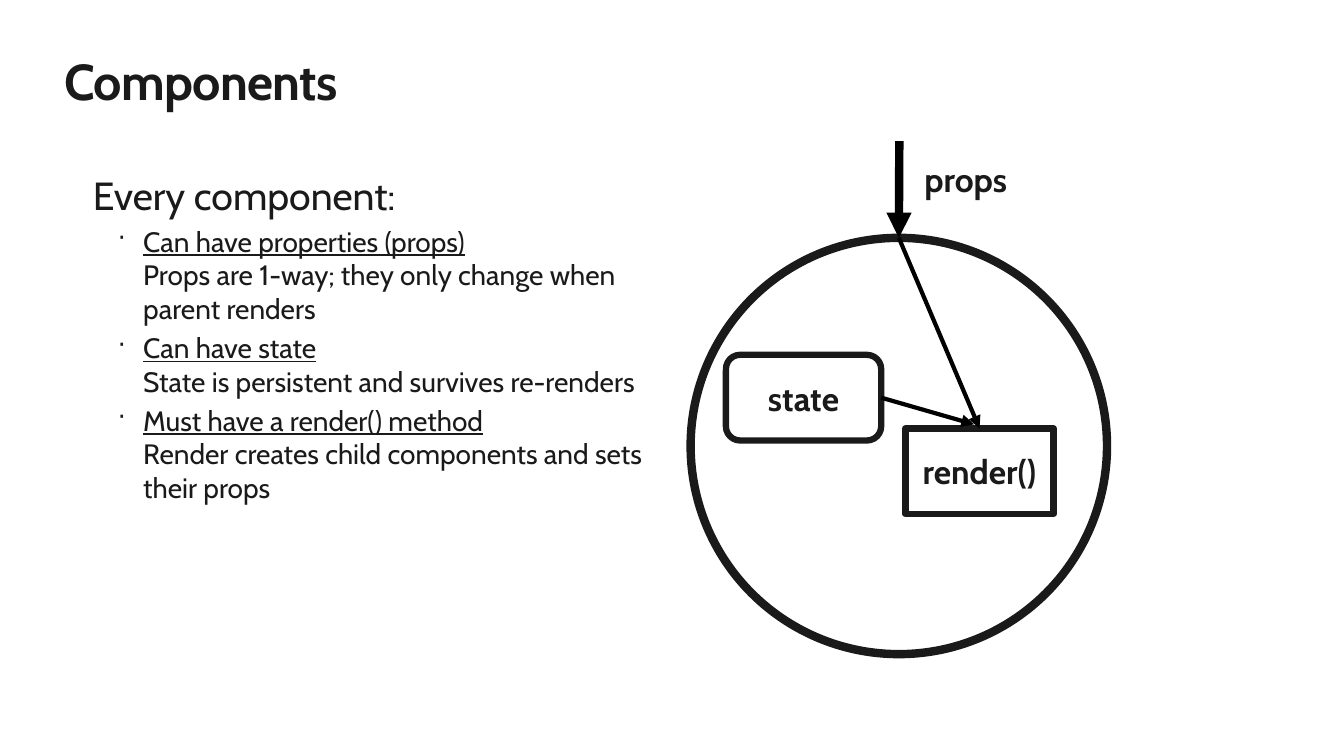
from dataclasses import dataclass

from lxml import etree
from pptx import Presentation
from pptx.dml.color import RGBColor
from pptx.enum.shapes import MSO_CONNECTOR, MSO_SHAPE
from pptx.enum.text import MSO_ANCHOR, MSO_AUTO_SIZE, PP_ALIGN
from pptx.oxml.ns import qn
from pptx.util import Emu, Pt

EMU_PER_PX = 9144
FONT = "Cabin"
INK, BLACK, WHITE = "1A1A1A", "000000", "FFFFFF"
STRAIGHT = MSO_CONNECTOR.STRAIGHT
ELLIPSE = MSO_SHAPE.OVAL
ROUNDED = MSO_SHAPE.ROUNDED_RECTANGLE
PROCESS = MSO_SHAPE.FLOWCHART_PROCESS
TOP_ANCHOR, MIDDLE_ANCHOR = MSO_ANCHOR.TOP, MSO_ANCHOR.MIDDLE
LEFT_ALIGN, CENTER_ALIGN = PP_ALIGN.LEFT, PP_ALIGN.CENTER
NO_AUTOFIT = MSO_AUTO_SIZE.NONE
TOP_SIDE, RIGHT_SIDE = 0, 3


@dataclass
class Node:
    kind: int
    left: int
    top: int
    width: int
    height: int
    line_width: float
    label: str = ""


@dataclass
class Point:
    heading: str
    detail: str


CIRCLE = Node(ELLIPSE, 685, 236, 413, 413, 6)
STATE = Node(ROUNDED, 720, 352, 154, 85, 4.5, "state")
RENDER = Node(PROCESS, 898, 425, 147, 85, 4.5, "render()")
POINTS = [
    Point("Can have properties (props)",
          "Props are 1-way; they only change when parent renders"),
    Point("Can have state", "State is persistent and survives re-renders"),
    Point("Must have a render() method",
          "Render creates child components and sets their props"),
]


def px(length: int) -> Emu:
    return Emu(length * EMU_PER_PX)


def color(target, value: str) -> None:
    target.rgb = RGBColor.from_string(value)


def style(para, size: int, bold: bool = False) -> None:
    para.font.name = FONT
    para.font.size = Pt(size)
    para.font.bold = bold
    color(para.font.color, INK)


def clear_margins(frame) -> None:
    frame.margin_left = frame.margin_right = 0
    frame.margin_top = frame.margin_bottom = 0


def add_text_box(page, left: int, top: int, width: int, height: int):
    box = page.shapes.add_textbox(px(left), px(top), px(width), px(height))
    box.text_frame.word_wrap = True
    return box.text_frame


def add_bullet(para) -> None:
    properties = para._p.get_or_add_pPr()
    properties.set("marL", str(px(50)))
    properties.set("indent", str(px(-25)))
    etree.SubElement(properties, qn("a:buSzPct"), val="90000")
    etree.SubElement(properties, qn("a:buChar"), char="·")


def add_point(frame, point: Point) -> None:
    para = frame.add_paragraph()
    para.level = 1
    para.space_before = Pt(4)
    add_bullet(para)
    style(para, 20)
    span = para.add_run()
    span.text = point.heading
    span.font.underline = True
    para.add_line_break()
    para.add_run().text = point.detail


def add_node(page, node: Node):
    shape = page.shapes.add_shape(
        node.kind, px(node.left), px(node.top), px(node.width), px(node.height))
    shape.shadow.inherit = False
    shape.fill.solid()
    color(shape.fill.fore_color, WHITE)
    color(shape.line.color, INK)
    shape.line.width = Pt(node.line_width)
    if node.label:
        shape.text_frame.vertical_anchor = MIDDLE_ANCHOR
        para = shape.text_frame.paragraphs[0]
        para.text = node.label
        para.alignment = CENTER_ALIGN
        style(para, 24, bold=True)
    return shape


def add_arrow(page, start: tuple[int, int], end: tuple[int, int], width: int):
    arrow = page.shapes.add_connector(
        STRAIGHT, px(start[0]), px(start[1]), px(end[0]), px(end[1]))
    color(arrow.line.color, BLACK)
    arrow.line.width = Pt(width)
    etree.SubElement(arrow.line._get_or_add_ln(), qn("a:tailEnd"), type="triangle")
    etree.SubElement(arrow._element.spPr, qn("a:effectLst"))
    return arrow


def add_title(page) -> None:
    title = page.shapes.title
    title.left, title.top, title.width, title.height = px(64), px(50), px(1205), px(61)
    frame = title.text_frame
    clear_margins(frame)
    frame.auto_size = NO_AUTOFIT
    frame.vertical_anchor = TOP_ANCHOR
    para = frame.paragraphs[0]
    para.alignment = LEFT_ALIGN
    span = para.add_run()
    span.text = "Components"
    span.font._element.set("spc", "-50")
    style(para, 36, bold=True)


def add_body(page) -> None:
    frame = add_text_box(page, 92, 170, 555, 557)
    clear_margins(frame)
    para = frame.paragraphs[0]
    para.text = "Every component:"
    style(para, 28)
    for point in POINTS:
        add_point(frame, point)


def add_diagram(page) -> None:
    circle = add_node(page, CIRCLE)
    entry = (892, CIRCLE.top)
    add_arrow(page, (892, 140), entry, 6).end_connect(circle, TOP_SIDE)
    para = add_text_box(page, 907, 153, 178, 51).paragraphs[0]
    para.text = "props"
    style(para, 24, bold=True)
    state = add_node(page, STATE)
    render = add_node(page, RENDER)
    props_arrow = add_arrow(page, entry, (971, RENDER.top), 3)
    props_arrow.begin_connect(circle, TOP_SIDE)
    props_arrow.end_connect(render, TOP_SIDE)
    add_arrow(page, (874, 394), (966, 421), 3).begin_connect(state, RIGHT_SIDE)


def main() -> None:
    deck = Presentation()
    deck.slide_width, deck.slide_height = px(1333), px(750)
    page = deck.slides.add_slide(deck.slide_layouts[5])
    add_title(page)
    add_body(page)
    add_diagram(page)
    deck.save("out.pptx")


if __name__ == "__main__":
    main()
